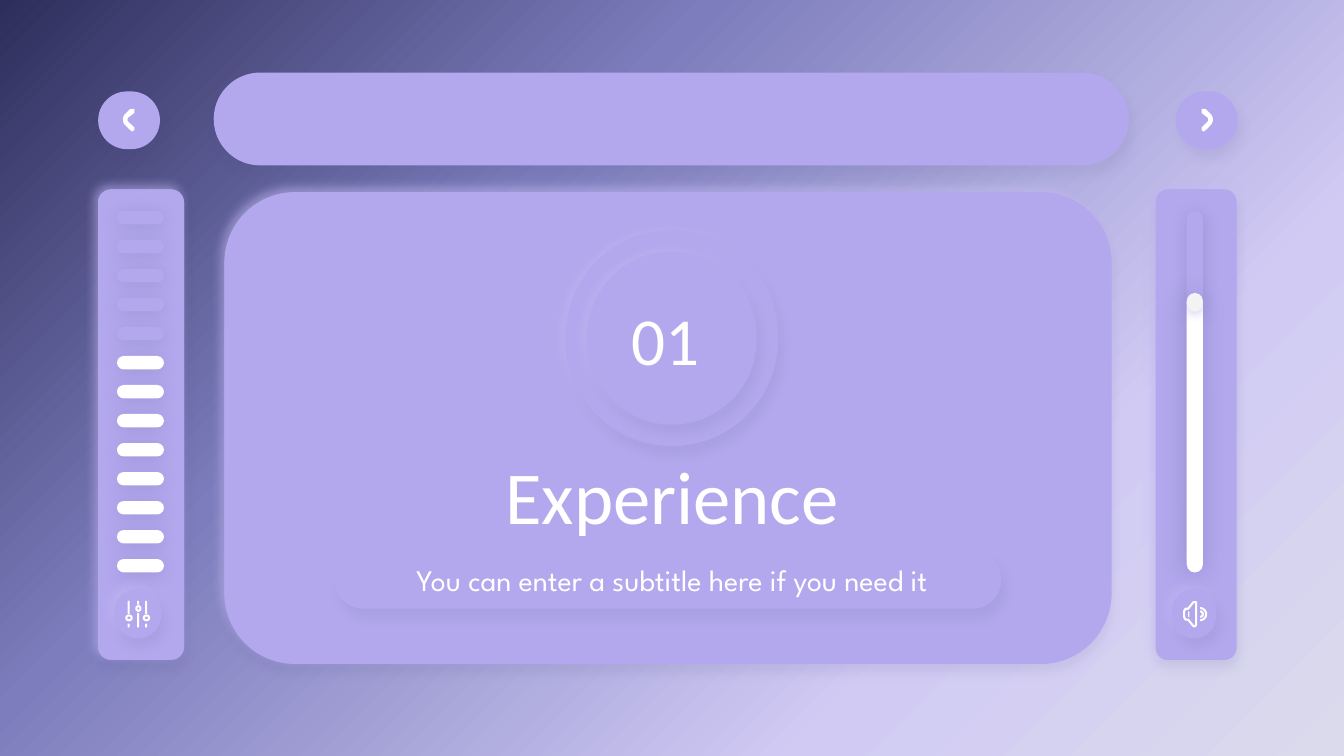
from math import cos, pi, sin

from lxml.etree import SubElement
from pptx import Presentation
from pptx.dml.color import RGBColor
from pptx.enum.shapes import MSO_SHAPE as SHAPE
from pptx.enum.text import MSO_ANCHOR, PP_ALIGN
from pptx.oxml.ns import qn
from pptx.util import Inches, Pt

C = {"lilac": "B3A8ED", "glow": "C4BBF5", "shade": "3E3E7A", "white": "FFFFFF", "knob": "F3F3F3"}
BACKDROP = [(0, "2E2E5C"), (34, "7D7DBD"), (74, "D1CBF4"), (100, "DADAEC")]
GLOW = ("glow", 52, 5.6, 3, 226)
PANEL_SHADE = ("shade", 8, 5.6, 5.2, 84)
SHADE = ("shade", 8, 5.6, 5.2, 66)
TICK_SHADE = ("shade", 17, 9, 1.5, 90)
CHEVRON = [(0.21, 0.13), (0.2, 0.13, 0.2, 0.13, 0.19, 0.13), (0.19, 0.14, 0.19, 0.15, 0.19, 0.16),
           (0.24, 0.2), (0.24, 0.21, 0.24, 0.22, 0.24, 0.22), (0.19, 0.27),
           (0.19, 0.27, 0.19, 0.28, 0.19, 0.29), (0.2, 0.29, 0.2, 0.3, 0.21, 0.3),
           (0.21, 0.3, 0.21, 0.29, 0.22, 0.29), (0.26, 0.25), (0.28, 0.23, 0.28, 0.19, 0.26, 0.17),
           (0.22, 0.13), (0.21, 0.13, 0.21, 0.13, 0.21, 0.13)]
SPEAKER = [(0.18, 0.09), (0.18, 0.26), (0.17, 0.27), (0.16, 0.27), (0.12, 0.22), (0.1, 0.22),
           (0.09, 0.2), (0.09, 0.16), (0.1, 0.14), (0.12, 0.14), (0.16, 0.09), (0.17, 0.09)]


def rgb(name):
    return RGBColor.from_string(C[name])


def add_shadow(sp, color, alpha, blur, dist, angle):
    effects = sp.element.spPr.find(qn("a:effectLst"))
    shadow = SubElement(effects, qn("a:outerShdw"), blurRad=str(Pt(blur)), dist=str(Pt(dist)),
                        dir=str(angle * 60000), algn="bl", rotWithShape="0")
    clr = SubElement(shadow, qn("a:srgbClr"), val=C[color])
    SubElement(clr, qn("a:alpha"), val=str(alpha * 1000))


def add_block(s, x, y, w, h, fill="lilac", shadow=None, adj=0.5, kind=SHAPE.ROUNDED_RECTANGLE):
    sp = s.shapes.add_shape(kind, Inches(x), Inches(y), Inches(w), Inches(h))
    sp.shadow.inherit = False
    sp.line.fill.background()
    sp.fill.solid()
    sp.fill.fore_color.rgb = rgb(fill)
    if kind == SHAPE.ROUNDED_RECTANGLE:
        sp.adjustments[0] = adj
    if shadow:
        add_shadow(sp, *shadow)
    return sp


def add_raised(s, x, y, w, h, lift=0.0):
    add_block(s, x, y + lift, w, h - lift, shadow=GLOW)
    add_block(s, x, y, w, h, shadow=SHADE)


def add_panel(s, x, y, w, h):
    add_block(s, x, y, w, h, shadow=GLOW, adj=0.153)
    add_block(s, x, y, w, h, shadow=PANEL_SHADE, adj=0.149)


def stroke(sp, width):
    sp.fill.background()
    sp.line.color.rgb = rgb("white")
    sp.line.width = Pt(width)


def add_outline(s, points, close=True):
    scaled = [(Inches(x), Inches(y)) for x, y in points]
    builder = s.shapes.build_freeform(*scaled[0])
    builder.add_line_segments(scaled[1:], close=close)
    sp = builder.convert_to_shape()
    sp.shadow.inherit = False
    return sp


def flatten(segments, steps=6):
    points = [segments[0]]
    for seg in segments[1:]:
        if len(seg) == 2:
            points.append(seg)
            continue
        x0, y0 = points[-1]
        x1, y1, x2, y2, x3, y3 = seg
        for i in range(1, steps + 1):
            t = i / steps
            a, b, c, d = (1 - t) ** 3, 3 * t * (1 - t) ** 2, 3 * t * t * (1 - t), t ** 3
            points.append((a * x0 + b * x1 + c * x2 + d * x3, a * y0 + b * y1 + c * y2 + d * y3))
    return points


def add_text(s, x, y, w, h, text, size, font):
    tf = s.shapes.add_textbox(Inches(x), Inches(y), Inches(w), Inches(h)).text_frame
    tf.word_wrap = True
    tf.vertical_anchor = MSO_ANCHOR.TOP
    tf.margin_left = tf.margin_right = tf.margin_top = tf.margin_bottom = Inches(0.1)
    p = tf.paragraphs[0]
    p.alignment = PP_ALIGN.CENTER
    r = p.add_run()
    r.text = text
    r.font.size = Pt(size)
    r.font.name = font
    r.font.color.rgb = rgb("white")


def add_background(s):
    fill = s.background.fill
    fill.gradient()
    fill.gradient_angle = 315
    stops = s.element.find(".//" + qn("a:gsLst"))
    for stop in list(stops):
        stops.remove(stop)
    for pos, color in BACKDROP:
        stop = SubElement(stops, qn("a:gs"), pos=str(pos * 1000))
        SubElement(stop, qn("a:srgbClr"), val=color)


def add_sliders_icon(s, x, y):
    for dx, knob_y, knob_w in ((0.02, 0.1, 0.06), (0.09, 0.03, 0.05), (0.15, 0.1, 0.06)):
        mid = x + dx + 0.01
        low = knob_y + 0.07 if knob_y > 0.05 else 0.09
        add_block(s, mid - 0.01, y, 0.015, knob_y, "white")
        add_block(s, mid - 0.01, y + low, 0.015, 0.2 - low, "white")
        ring = add_block(s, mid - knob_w / 2 + 0.01, y + knob_y + 0.01, knob_w - 0.02, 0.035)
        stroke(ring, 1.1)


def add_speaker_icon(s, x, y):
    stroke(add_outline(s, [(x + dx, y + dy) for dx, dy in SPEAKER]), 1.1)
    for radius in (0.02, 0.045):
        arc = [(x + 0.21 + radius * sin(i * pi / 12), y + 0.18 - radius * cos(i * pi / 12))
               for i in range(13)]
        stroke(add_outline(s, arc, close=False), 1.1)
    add_block(s, x + 0.12, y + 0.16, 0.01, 0.04, "white")


def add_meter(s, x, y, w, h):
    add_panel(s, x, y, w, h)
    for i in range(13):
        add_block(s, x + 0.14, y + 0.16 + i * 2.59 / 12, 0.35, 0.1,
                  "lilac" if i < 5 else "white", TICK_SHADE)
    add_raised(s, x + 0.12, y + 2.97, 0.35, 0.37, 0.01)
    add_sliders_icon(s, x + 0.2, y + 3.06)


def add_volume(s, x, y, w, h):
    add_panel(s, x, y, w, h)
    add_block(s, x + 0.23, y + 0.16, 0.12, 0.75, shadow=("shade", 18, 9, 1.5, 71))
    add_block(s, x + 0.23, y + 0.77, 0.12, 2.08, "white", ("shade", 26, 13.5, 1.5, 141))
    add_block(s, x + 0.23, y + 0.78, 0.12, 0.13, "knob", ("lilac", 50, 4.5, 1.5, 90), kind=SHAPE.OVAL)
    add_raised(s, x + 0.12, y + 2.97, 0.33, 0.37, 0.01)
    add_speaker_icon(s, x + 0.12, y + 2.98)


def add_arrow_button(s, x, y, w, h, back=False):
    button = add_block(s, x, y, w, h, shadow=SHADE)
    button.rotation = 180 if back else 0
    points = [(x + (w - dx if back else dx), y + dy) for dx, dy in flatten(CHEVRON)]
    chevron = add_outline(s, points)
    chevron.fill.solid()
    chevron.fill.fore_color.rgb = rgb("white")
    chevron.line.fill.background()


def add_section(s, x, y, w, h):
    add_panel(s, x, y, w, h)
    add_block(s, x + 0.82, y + 2.67, 4.96, 0.43, shadow=SHADE)
    add_raised(s, x + 2.54, y + 0.28, 1.58, 1.61, 0.04)
    add_raised(s, x + 2.7, y + 0.44, 1.26, 1.29, 0.03)
    add_text(s, x + 1.09, y + 1.82, 4.48, 0.74, "Experience", 40, "Calibri")
    add_text(s, x + 2.81, y + 0.69, 0.95, 0.74, "01", 36, "Calibri")
    add_text(s, x + 1.09, y + 2.65, 4.48, 0.39,
             "You can enter a subtitle here if you need it", 16, "League Spartan")


def main():
    prs = Presentation()
    prs.slide_width, prs.slide_height = Inches(10), Inches(10 * 9 / 16)
    s = prs.slides.add_slide(prs.slide_layouts[6])
    add_background(s)
    add_block(s, 1.59, 0.54, 6.81, 0.69, shadow=SHADE)
    add_section(s, 1.67, 1.43, 6.6, 3.51)
    add_meter(s, 0.73, 1.41, 0.64, 3.5)
    add_volume(s, 8.6, 1.41, 0.6, 3.5)
    add_arrow_button(s, 8.75, 0.68, 0.46, 0.43)
    add_arrow_button(s, 0.73, 0.68, 0.46, 0.43, back=True)
    prs.save("out.pptx")


if __name__ == "__main__":
    main()
